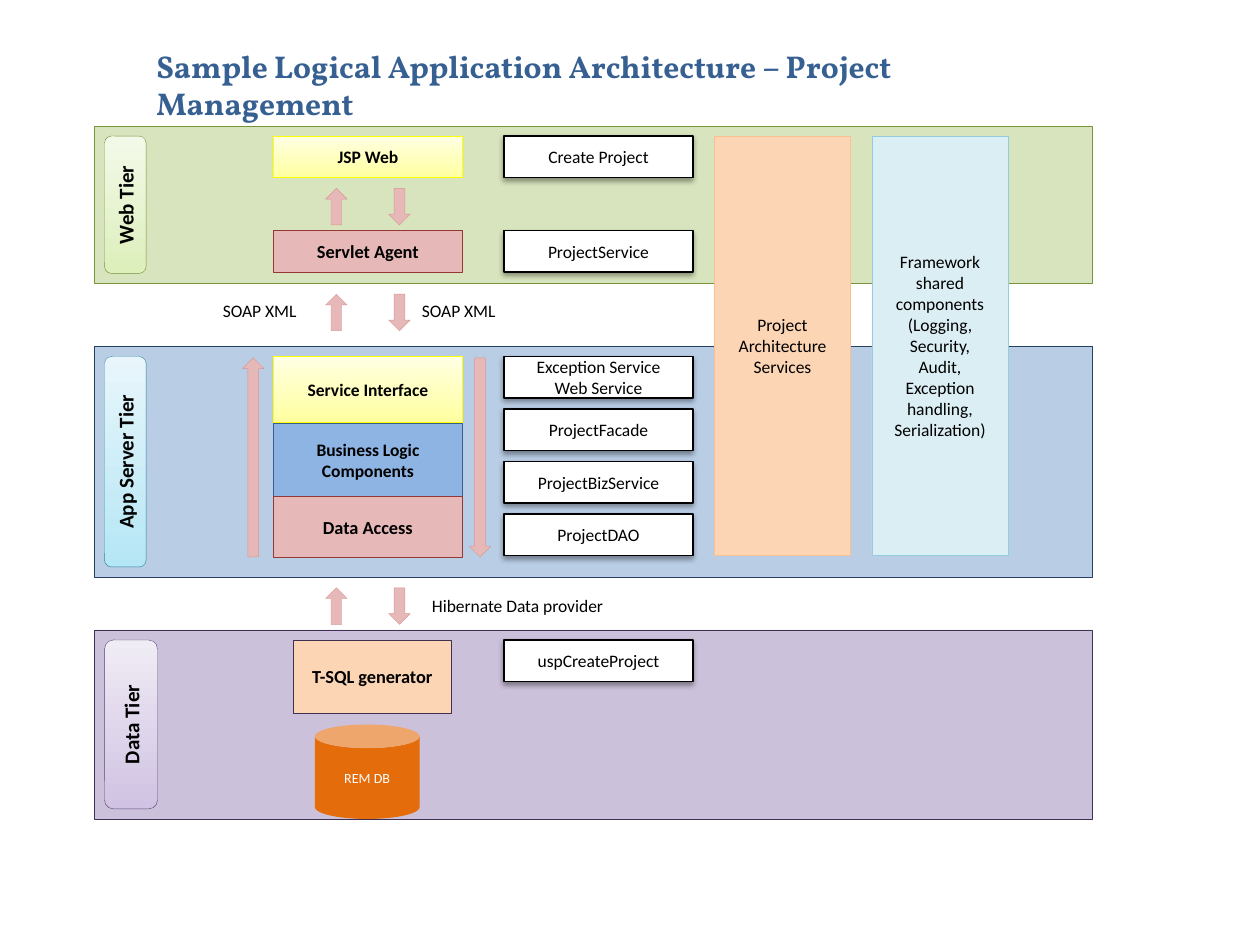
from lxml import etree
from pptx import Presentation
from pptx.dml.color import RGBColor
from pptx.enum.shapes import MSO_SHAPE
from pptx.enum.text import MSO_ANCHOR, MSO_AUTO_SIZE, PP_ALIGN
from pptx.oxml.ns import qn
from pptx.util import Inches, Pt

RECTANGLE = MSO_SHAPE.RECTANGLE
ROUNDED = MSO_SHAPE.ROUNDED_RECTANGLE
RIGHT_ARROW = MSO_SHAPE.RIGHT_ARROW
CAN = MSO_SHAPE.CAN
LEFT, CENTER = PP_ALIGN.LEFT, PP_ALIGN.CENTER
TOP, MIDDLE = MSO_ANCHOR.TOP, MSO_ANCHOR.MIDDLE
NO_AUTOFIT = MSO_AUTO_SIZE.NONE

BLACK = RGBColor(0x00, 0x00, 0x00)
WHITE = RGBColor(0xFF, 0xFF, 0xFF)
TITLE_BLUE = RGBColor(0x37, 0x60, 0x92)
GREEN, GREEN_LINE = RGBColor(0xD7, 0xE4, 0xBD), RGBColor(0x77, 0x93, 0x3C)
BLUE, BLUE_LINE = RGBColor(0xB9, 0xCD, 0xE5), RGBColor(0x25, 0x40, 0x61)
PURPLE, PURPLE_LINE = RGBColor(0xCC, 0xC1, 0xDA), RGBColor(0x40, 0x31, 0x52)
GREEN_FADE = (RGBColor(0xDD, 0xEF, 0xBB), RGBColor(0xF3, 0xF9, 0xE9))
CYAN_FADE = (RGBColor(0xB5, 0xE6, 0xF5), RGBColor(0xE8, 0xF6, 0xFB))
PURPLE_FADE = (RGBColor(0xD0, 0xC2, 0xE2), RGBColor(0xF0, 0xEC, 0xF5))
YELLOW_FADE = (RGBColor(0xFF, 0xFF, 0xA0), RGBColor(0xFF, 0xFF, 0xE3))
CYAN_LINE = RGBColor(0x31, 0x85, 0x9C)
VIOLET_LINE = RGBColor(0x60, 0x4A, 0x7B)
YELLOW = RGBColor(0xFF, 0xFF, 0x00)
PINK, PINK_LINE = RGBColor(0xE6, 0xB9, 0xB8), RGBColor(0xD9, 0x96, 0x94)
DARK_RED = RGBColor(0x95, 0x37, 0x35)
LOGIC_BLUE, LOGIC_LINE = RGBColor(0x8E, 0xB4, 0xE3), RGBColor(0x3A, 0x5F, 0x8C)
PEACH, PEACH_LINE = RGBColor(0xFC, 0xD5, 0xB5), RGBColor(0xFA, 0xC0, 0x90)
AQUA, AQUA_LINE = RGBColor(0xDB, 0xEE, 0xF4), RGBColor(0x93, 0xCD, 0xDD)
ORANGE = RGBColor(0xE4, 0x6C, 0x0A)

TIER_LEFT, TIER_WIDTH = 0.75, 7.92
PADDING = 0.08
LAYER_OFFSET, SERVICE_OFFSET = 1.42, 3.25
BOX_WIDTH, BOX_HEIGHT = 1.5, 0.33
UP_OFFSET, DOWN_OFFSET = 1.92, 2.42
ARROW_LENGTH, ARROW_THICKNESS = 0.29, 0.17


def write_text(shape, text, align=CENTER, anchor=MIDDLE, **font_values):
    frame = shape.text_frame
    frame.text = text
    frame.vertical_anchor = anchor
    values = {"name": "Calibri", "size": 10, "bold": False, "color": BLACK} | font_values
    color = values.pop("color")
    values["size"] = Pt(values["size"])
    for paragraph in frame.paragraphs:
        paragraph.alignment = align
        for run in paragraph.runs:
            for name, value in values.items():
                setattr(run.font, name, value)
            run.font.color.rgb = color


def add_box(slide, box, fill, line=None, text="", kind=RECTANGLE, line_width=0.25, **font_values):
    """Add a shape; a pair of fill colours makes a fade from bottom to top."""
    shape = slide.shapes.add_shape(kind, *map(Inches, box))
    shape.shadow.inherit = False
    if isinstance(fill, RGBColor):
        shape.fill.solid()
        shape.fill.fore_color.rgb = fill
    else:
        shape.fill.gradient()
        shape.fill.gradient_angle = 90
        for stop, color in zip(shape.fill.gradient_stops, fill):
            stop.color.rgb = color
    if line is None:
        shape.line.fill.background()
    else:
        shape.line.color.rgb = line
        shape.line.width = Pt(line_width)
    if text:
        write_text(shape, text, **font_values)
    return shape


def add_service(slide, tier_top, offset, text):
    """Add a white box with a soft shadow in the service column."""
    box = (TIER_LEFT + SERVICE_OFFSET, tier_top + offset, BOX_WIDTH, BOX_HEIGHT)
    shape = add_box(slide, box, WHITE, BLACK, text, line_width=0.75)
    effects = shape._element.spPr.find(qn("a:effectLst"))
    shadow = etree.SubElement(effects, qn("a:outerShdw"), blurRad=str(Pt(3.1)),
                              dist=str(Pt(1.6)), dir="5400000", rotWithShape="0")
    color = etree.SubElement(shadow, qn("a:srgbClr"), val="000000")
    etree.SubElement(color, qn("a:alpha"), val="38000")


def add_layer(slide, tier_top, offset, height, fill, line, text, size=10):
    box = (TIER_LEFT + LAYER_OFFSET, tier_top + offset, BOX_WIDTH, height)
    add_box(slide, box, fill, line, text, size=size, bold=True)


def add_arrow_pair(slide, center_y, up=UP_OFFSET, down=DOWN_OFFSET, length=ARROW_LENGTH):
    for offset, rotation in ((up, 270), (down, 90)):
        box = (TIER_LEFT + offset - length / 2, center_y - ARROW_THICKNESS / 2,
               length, ARROW_THICKNESS)
        add_box(slide, box, PINK, PINK_LINE, kind=RIGHT_ARROW).rotation = rotation


def add_label(slide, left, top, width, text):
    label = slide.shapes.add_textbox(*map(Inches, (left, top, width, 0.27)))
    label.text_frame.word_wrap = False
    write_text(label, text, LEFT, TOP)


def add_tier(slide, top, height, fill, line, name, tab_fill, tab_line, tab_width=0.33):
    """Add the tier's band and its tab with upright text."""
    add_box(slide, (TIER_LEFT, top, TIER_WIDTH, height), fill, line)
    tab_box = (TIER_LEFT + PADDING, top + PADDING, tab_width, height - 2 * PADDING)
    tab = add_box(slide, tab_box, tab_fill, tab_line, name, ROUNDED, size=12, bold=True)
    tab.text_frame._txBody.bodyPr.set("vert", "vert270")


def add_title(slide, box):
    title = slide.shapes.title
    title.left, title.top, title.width, title.height = map(Inches, box)
    write_text(title, "Sample Logical Application Architecture – Project Management",
               LEFT, TOP, name="Vollkorn", size=18, bold=True, color=TITLE_BLUE)
    title.text_frame.word_wrap = True
    title.text_frame.auto_size = NO_AUTOFIT


def add_web_tier(slide, top):
    add_tier(slide, top, 1.25, GREEN, GREEN_LINE, "Web Tier", GREEN_FADE, GREEN_LINE)
    add_layer(slide, top, PADDING, BOX_HEIGHT, YELLOW_FADE, YELLOW, "JSP Web")
    add_layer(slide, top, 0.83, BOX_HEIGHT, PINK, DARK_RED, "Servlet Agent", 10.5)
    add_arrow_pair(slide, top + 0.64)
    add_service(slide, top, PADDING, "Create Project")
    add_service(slide, top, 0.83, "ProjectService")


def add_app_tier(slide, top):
    add_tier(slide, top, 1.83, BLUE, BLUE_LINE, "App Server Tier", CYAN_FADE, CYAN_LINE)
    add_layer(slide, top, PADDING, 0.52, YELLOW_FADE, YELLOW, "Service Interface")
    add_layer(slide, top, 0.61, 0.58, LOGIC_BLUE, LOGIC_LINE, "Business Logic\nComponents")
    add_layer(slide, top, 1.19, 0.48, PINK, DARK_RED, "Data Access", 10.5)
    add_arrow_pair(slide, top + 0.88, up=1.26, down=3.06, length=1.58)
    services = ("Exception Service\nWeb Service", "ProjectFacade", "ProjectBizService", "ProjectDAO")
    for index, text in enumerate(services):
        add_service(slide, top, PADDING + index * 5 / 12, text)


def add_data_tier(slide, top):
    add_tier(slide, top, 1.5, PURPLE, PURPLE_LINE, "Data Tier", PURPLE_FADE, VIOLET_LINE, 0.42)
    add_box(slide, (TIER_LEFT + 1.58, top + PADDING, 1.25, 0.58), PEACH, PURPLE_LINE,
            "T-SQL generator", size=10.5, bold=True)
    add_service(slide, top, PADDING, "uspCreateProject")
    add_box(slide, (TIER_LEFT + 1.75, top + 0.75, 0.83, 0.75), ORANGE, text="REM DB",
            kind=CAN, size=8, color=WHITE)


def add_tier_links(slide):
    add_arrow_pair(slide, 2.48)
    add_label(slide, 1.67, 2.33, 0.8, "SOAP XML")
    add_label(slide, 3.25, 2.33, 0.8, "SOAP XML")
    add_arrow_pair(slide, 4.81)
    add_label(slide, 3.33, 4.67, 1.59, "Hibernate Data provider")


def add_shared_columns(slide, left, top):
    columns = (
        (PEACH, PEACH_LINE, "Project\nArchitecture Services"),
        (AQUA, AQUA_LINE, "Framework shared components\n(Logging,\nSecurity,\nAudit,\n"
                          "Exception handling,\nSerialization)"),
    )
    for index, (fill, line, text) in enumerate(columns):
        add_box(slide, (left + index * 1.25, top, 1.08, 3.33), fill, line, text)


def main():
    presentation = Presentation()
    presentation.slide_width, presentation.slide_height = Inches(10), Inches(7.5)
    slide = presentation.slides.add_slide(presentation.slide_layouts[5])
    add_title(slide, (1.14, 0.32, 7.54, 0.4))
    add_web_tier(slide, 1)
    add_app_tier(slide, 2.75)
    add_data_tier(slide, 5)
    add_tier_links(slide)
    add_shared_columns(slide, 5.67, 1.08)
    presentation.save("out.pptx")


if __name__ == "__main__":
    main()
